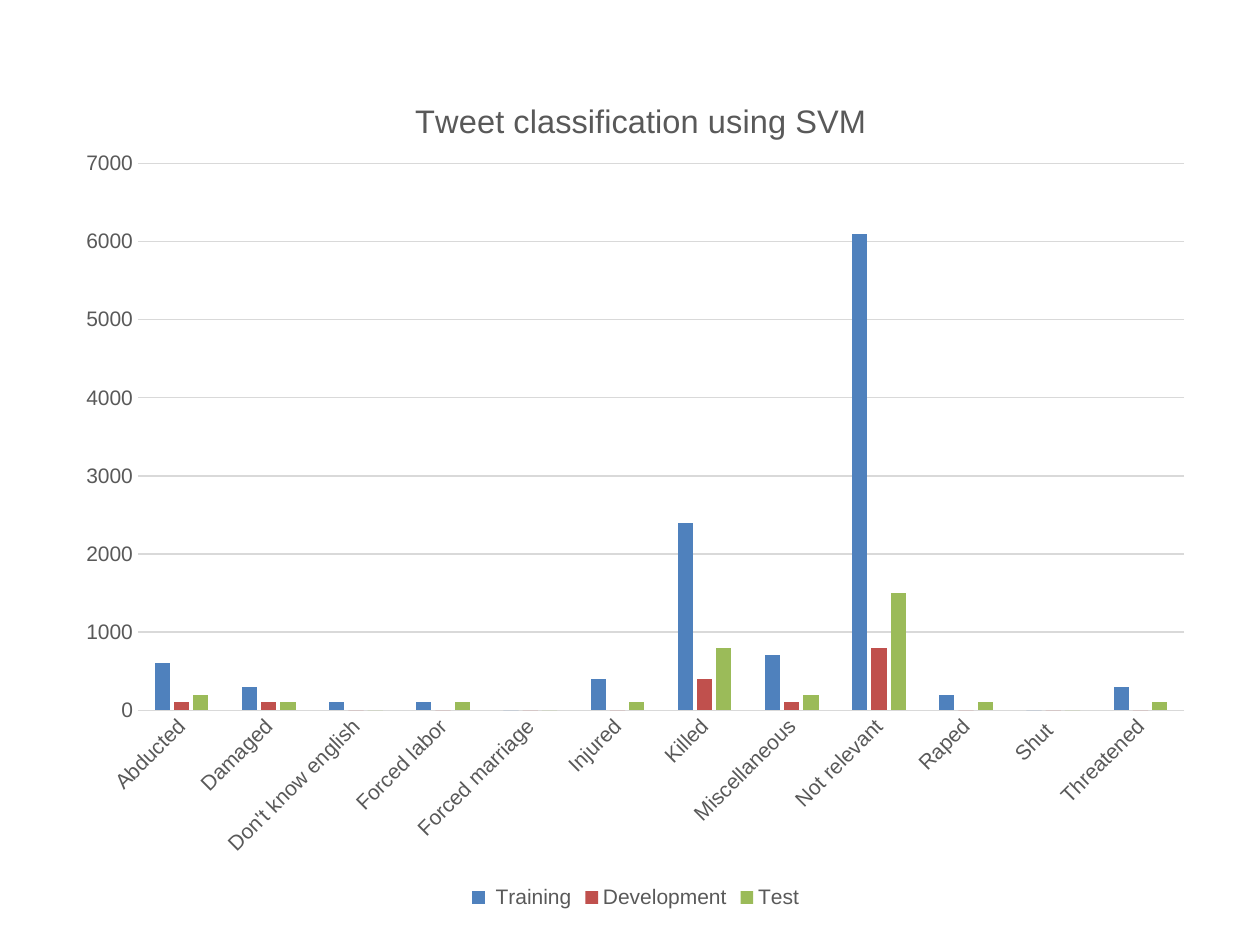
"""Build a slide with a clustered column chart of tweet classification counts."""
from typing import NamedTuple

from pptx import Presentation
from pptx import util as u
from pptx.chart import data as chart_data
from pptx.dml import color
from pptx.enum import chart as kinds
from pptx.oxml import parse_xml
from pptx.oxml.ns import nsdecls

COLOURS = {"text": "595959", "rule": "D9D9D9", "training": "4F81BD",
           "development": "C0504D", "test": "9BBB59"}
FONT = "Arial"
CATEGORIES = ("Abducted", "Damaged", "Don't know english", "Forced labor",
              "Forced marriage", "Injured", "Killed", "Miscellaneous",
              "Not relevant", "Raped", "Shut ", "Threatened")


class Split(NamedTuple):
    """A data split with its colour and its counts per category."""
    name: str
    colour: str
    counts: tuple[int, ...]


class Area(NamedTuple):
    """A place, and a size where it is set, in percent of the container."""
    x: float
    y: float
    w: float | None = None
    h: float | None = None


SPLITS = (
    Split(" Training", "training",
          (600, 300, 100, 100, 0, 400, 2400, 700, 6100, 200, 0, 300)),
    Split("Development", "development",
          (100, 100, 0, 0, 0, 0, 400, 100, 800, 0, 0, 0)),
    Split("Test", "test",
          (200, 100, 0, 100, 0, 100, 800, 200, 1500, 100, 0, 100)),
)
CHART_AREA = Area(5.1, 6.6, 90.7, 90.1)
TITLE_AREA = Area(30.2, 3.6)
PLOT_AREA = Area(6.45, 11.9, 91.55, 64.2)


def rgb(name: str) -> color.RGBColor:
    """Return the named colour."""
    return color.RGBColor.from_string(COLOURS[name])


def style_font(font, size: float = 12) -> None:
    """Give a font the chart's face and colour."""
    font.name, font.size, font.bold = FONT, u.Pt(size), False
    font.color.rgb = rgb("text")


def style_rule(line) -> None:
    """Draw a line as a thin pale rule."""
    line.color.rgb, line.width = rgb("rule"), u.Pt(0.75)


def place(part, area: Area, *, index: int, target: str = "") -> None:
    """Fix a chart part at an area of the chart."""
    for old in part.findall("{*}layout"):
        part.remove(old)
    modes = '<c:xMode val="edge"/><c:yMode val="edge"/>'
    shares = "".join(f'<c:{key} val="{percent / 100:.4f}"/>'
                     for key, percent in area._asdict().items() if percent is not None)
    part.insert(index, parse_xml(
        f'<c:layout {nsdecls("c")}><c:manualLayout>{target}{modes}{shares}'
        "</c:manualLayout></c:layout>"))


def add_title(chart, title: str, *, size: float) -> None:
    """Write the chart title."""
    chart.has_title = True
    span = chart.chart_title.text_frame.paragraphs[0].add_run()
    span.text = title
    style_font(span.font, size)
    chart.chart_title.include_in_layout = False
    place(chart.chart_title._element, TITLE_AREA, index=1)


def style_axes(chart) -> None:
    """Format both axes and the gridlines."""
    for axis in (chart.category_axis, chart.value_axis):
        axis.major_tick_mark = axis.minor_tick_mark = kinds.XL_TICK_MARK.NONE
        style_font(axis.tick_labels.font)
    category, value = chart.category_axis, chart.value_axis
    style_rule(category.format.line)
    category._element.txPr.bodyPr.set("rot", str(-45 * 60000))
    value.minimum_scale, value.maximum_scale, value.major_unit = 0, 7000, 1000
    value.format.line.fill.background()
    value.has_major_gridlines = True
    style_rule(value.major_gridlines.format.line)


def add_columns(deck, page):
    """Add the column chart and colour its series."""
    source = chart_data.CategoryChartData()
    source.categories = CATEGORIES
    for split in SPLITS:
        source.add_series(split.name, split.counts)
    wide, high = deck.slide_width / 100, deck.slide_height / 100
    chart = page.shapes.add_chart(
        kinds.XL_CHART_TYPE.COLUMN_CLUSTERED,
        int(wide * CHART_AREA.x), int(high * CHART_AREA.y),
        int(wide * CHART_AREA.w), int(high * CHART_AREA.h), source).chart
    plot = chart.plots[0]
    plot.gap_width, plot.overlap, plot.vary_by_categories = 219, -27, False
    for series, split in zip(plot.series, SPLITS):
        series.format.fill.solid()
        series.format.fill.fore_color.rgb = rgb(split.colour)
        series.invert_if_negative = False
    return chart


def main() -> None:
    """Build and save the deck."""
    deck = Presentation()
    deck.slide_width, deck.slide_height = u.Inches(10), u.Inches(7.5)
    page = deck.slides.add_slide(deck.slide_layouts[6])
    chart = add_columns(deck, page)
    chart.font.name, chart.font.size = FONT, u.Pt(10)
    add_title(chart, "Tweet classification using SVM", size=18.6)
    style_axes(chart)
    chart.has_legend = True
    chart.legend.position = kinds.XL_LEGEND_POSITION.BOTTOM
    chart.legend.include_in_layout = False
    style_font(chart.legend.font)
    place(chart._chartSpace.chart.plotArea, PLOT_AREA, index=0,
          target='<c:layoutTarget val="inner"/>')
    deck.save("out.pptx")


main()
